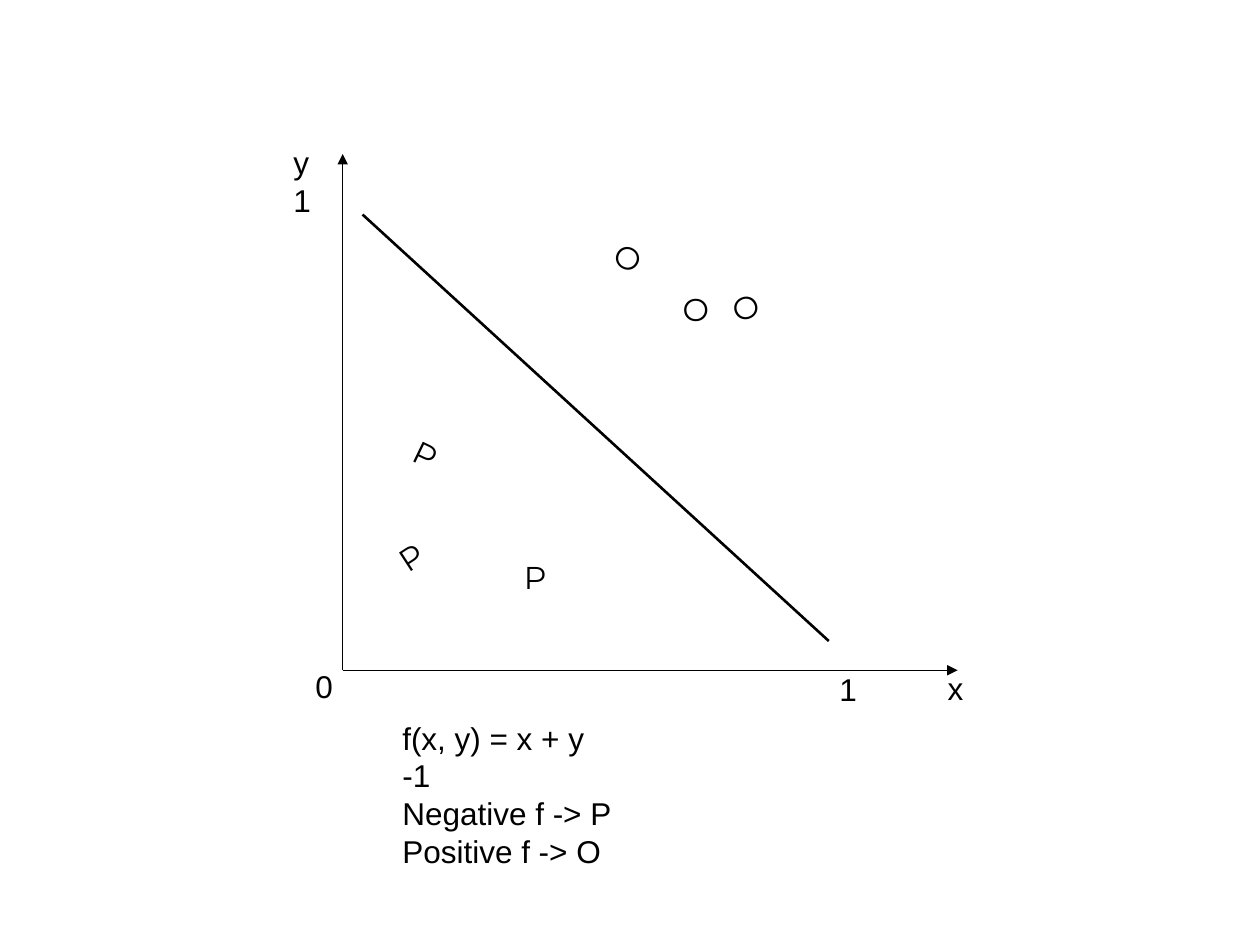
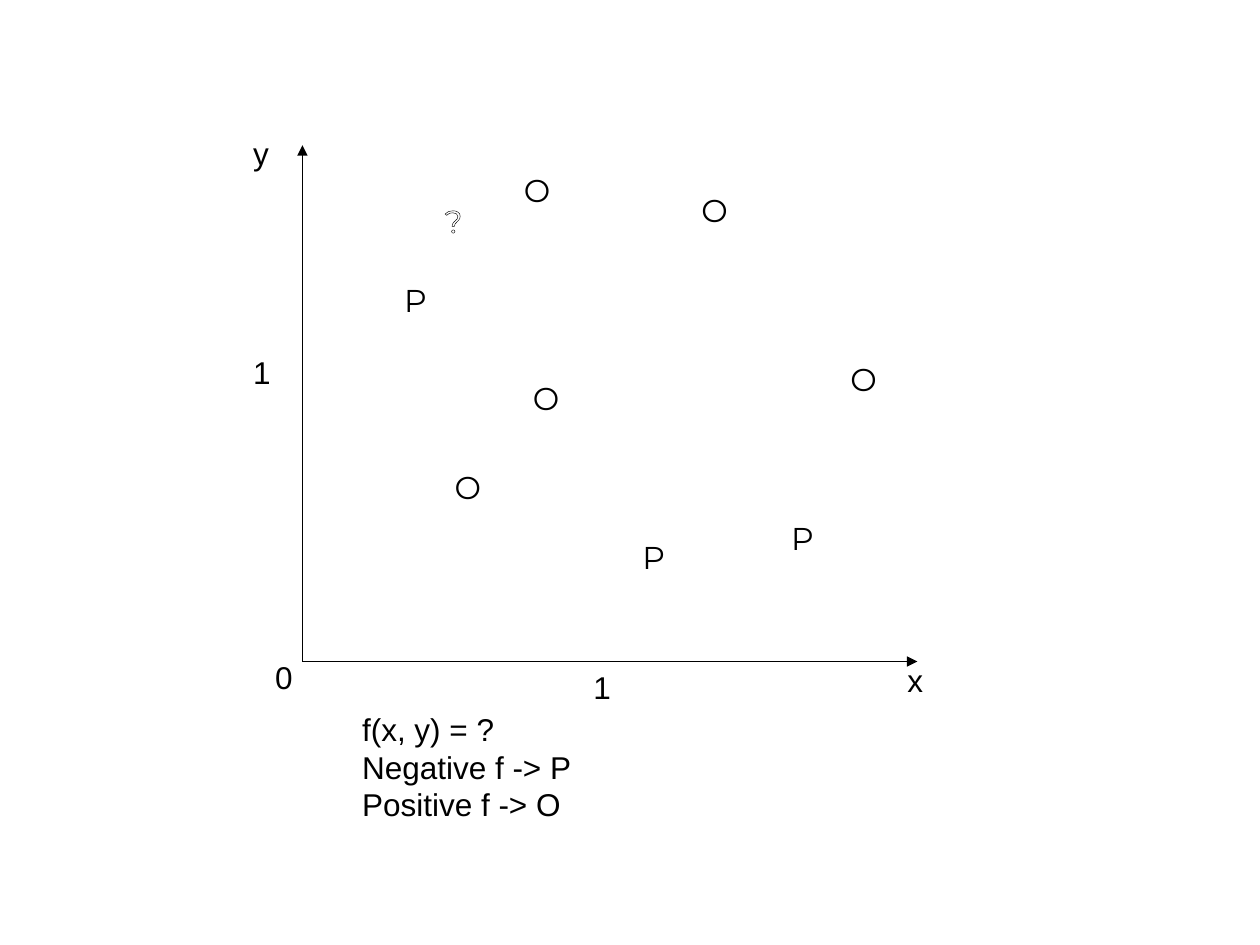
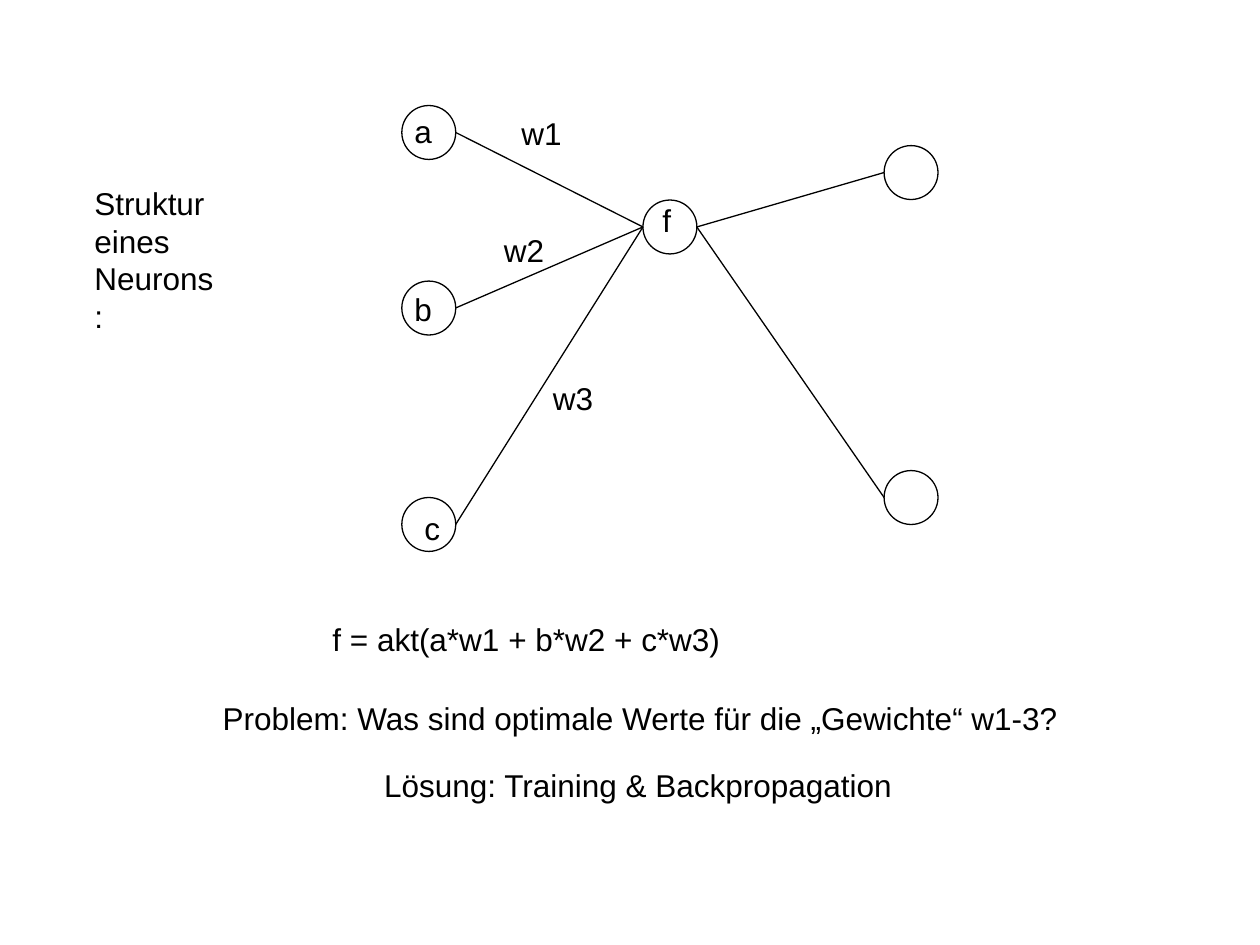
"""Build three slides on separating two classes and on the neuron."""
from lxml import etree
from pptx import Presentation
from pptx.dml.color import RGBColor
from pptx.enum import shapes, text
from pptx.oxml import ns
from pptx.util import Pt

COLOURS = {"ink": "000000", "paper": "FFFFFF"}
HAIRLINE, THICK = 0.74, 1.5
LABEL_FONT = {"name": "Arial", "size": Pt(18)}
MARKER_FONT = {"name": "Montserrat", "size": Pt(18)}
LABEL_FRAME = {"word_wrap": False, "auto_size": text.MSO_AUTO_SIZE.SHAPE_TO_FIT_TEXT}
MARKER_FRAME = {"word_wrap": False, "auto_size": text.MSO_AUTO_SIZE.NONE}
LINE_HEIGHT, INSET = 21.6, 3.6
MARKER_SIZE = (19.44, 57.6)
AXIS_UP, AXIS_RIGHT = 295, 351.4
RADIUS = 15.4
CLASSES = ["Negative f -> P", "Positive f -> O"]


def colour(name):
    """Return the named colour of the palette."""
    return RGBColor.from_string(COLOURS[name])


def apply_format(target, values):
    """Set every attribute of a format dict on the target."""
    for name, value in values.items():
        setattr(target, name, value)


def add_text(page, lines, left, top, size, frame, font, ink="ink"):
    """Add a text box with one paragraph for each line."""
    box = page.shapes.add_textbox(Pt(left), Pt(top), Pt(size[0]), Pt(size[1]))
    apply_format(box.text_frame, frame)
    for index, line in enumerate(lines):
        para = box.text_frame.add_paragraph() if index else box.text_frame.paragraphs[0]
        span = para.add_run()
        span.text = line
        apply_format(span.font, font)
        span.font.color.rgb = colour(ink)
    return box


def add_label(page, lines, left, top, width=24):
    """Add a plain label whose height follows its number of lines."""
    size = (width, LINE_HEIGHT * len(lines) + 2 * INSET)
    return add_text(page, lines, left, top, size, LABEL_FRAME, LABEL_FONT)


def add_marker(page, letter, left, top, angle=0, size=MARKER_SIZE, ink="ink"):
    """Add a letter with outlined glyphs that marks a data point."""
    box = add_text(page, [letter], left, top, size, MARKER_FRAME, MARKER_FONT, ink)
    box.rotation = angle
    outline = etree.Element(ns.qn("a:ln"), w=str(int(Pt(HAIRLINE))))
    fill = etree.SubElement(outline, ns.qn("a:solidFill"))
    etree.SubElement(fill, ns.qn("a:srgbClr"), val=COLOURS["ink"])
    span = box.text_frame.paragraphs[0].runs[0]
    span.font._element.insert(0, outline)


def add_line(page, start, end, width=HAIRLINE, arrow=False):
    """Add a straight line, with an arrowhead at its end if wanted."""
    line = page.shapes.add_connector(
        shapes.MSO_CONNECTOR.STRAIGHT, *(Pt(value) for value in (*start, *end)))
    line.line.color.rgb = colour("ink")
    line.line.width = Pt(width)
    if arrow:
        etree.SubElement(line.line._get_or_add_ln(), ns.qn("a:tailEnd"), type="triangle")
    etree.SubElement(line._element.spPr, ns.qn("a:effectLst"))


def add_node(page, centre):
    """Add an empty circle around its centre."""
    x, y = centre
    node = page.shapes.add_shape(
        shapes.MSO_SHAPE.OVAL, Pt(x - RADIUS), Pt(y - RADIUS), Pt(2 * RADIUS), Pt(2 * RADIUS))
    node.shadow.inherit = False
    node.fill.background()
    node.line.color.rgb = colour("ink")
    node.line.width = Pt(HAIRLINE)


def add_axes(page, origin, y_lines, formula, caption_width):
    """Add both axes with their labels and the caption below them."""
    x, y = origin
    add_line(page, origin, (x, y - AXIS_UP), arrow=True)
    add_line(page, origin, (x + AXIS_RIGHT, y), arrow=True)
    add_label(page, y_lines, x - 35.3, y - AXIS_UP - 9.7)
    add_label(page, ["x"], x + 338.6, y - 4)
    add_label(page, ["0"], x - 22.7, y - 5.4)
    add_label(page, [formula, *CLASSES], x + 27, y + 24.1, caption_width)


def build_linear(page):
    """Draw two classes that a straight line separates."""
    add_axes(page, (195.84, 383), ["y", "1"], "f(x, y) = x + y -1", 139)
    for letter, left, top, angle in (
            ("P", 229.7, 303.8, 327), ("P", 223.9, 241.9, 25.6), ("P", 292.3, 315.4, 0),
            ("O", 337.7, 128.2, 31), ("O", 383, 162, 0), ("O", 416.9, 162, 338.7)):
        add_marker(page, letter, left, top, angle)
    add_line(page, (207.2, 122.6), (473.6, 366.3), THICK)
    add_label(page, ["1"], 472.5, 379.6)


def build_nonlinear(page):
    """Draw two classes that no straight line separates."""
    add_axes(page, (172.8, 378), ["y"], "f(x, y) = ?", 134)
    for letter, left, top in (
            ("P", 360, 303.8), ("P", 223.9, 157), ("P", 445, 293),
            ("O", 292.3, 94.3), ("O", 252.7, 264.2), ("O", 478.8, 202.3),
            ("O", 297.4, 213.1), ("O", 393.8, 105.8)):
        add_marker(page, letter, left, top)
    add_marker(page, "?", 247, 111.6, size=(226, 252.7), ink="paper")
    add_label(page, ["1"], 332, 378)
    add_label(page, ["1"], 137.5, 198)


def build_neuron(page):
    """Draw a neuron with weighted inputs, outputs and its formula."""
    inputs = [(245, y) for y in (75.7, 176, 299.7)]
    neuron = (382.8, 129.7)
    outputs = [(520.6, y) for y in (98.6, 284.3)]
    network = page.shapes.add_group_shape()
    for centre in (*inputs, neuron, *outputs):
        add_node(network, centre)
    links = [(source, neuron) for source in inputs] + [(neuron, goal) for goal in outputs]
    for (x1, y1), (x2, y2) in links:
        add_line(network, (x1 + RADIUS, y1), (x2 - RADIUS, y2))

    for line, left, top, width in (
            ("a", 229.7, 60.5, 24.5), ("b", 229.7, 162, 24.5), ("c", 235.4, 287.3, 23),
            ("w1", 290.9, 61.9, 37.4), ("w2", 280.8, 128.2, 37.4), ("w3", 308.9, 213.1, 37.4),
            ("f", 371.5, 111.6, 19.4),
            ("f = akt(a*w1 + b*w2 + c*w3)", 182.9, 350.6, 236.2),
            ("Problem: Was sind optimale Werte für die „Gewichte“ w1-3?", 120.2, 396, 492.5),
            ("Lösung: Training & Backpropagation", 212.4, 434.2, 305.3)):
        add_label(page, [line], left, top, width)
    add_label(page, ["Struktur", "eines", "Neurons:"], 46.8, 101.5, 87)


def main():
    """Build all slides and save the deck."""
    deck = Presentation()
    deck.slide_width, deck.slide_height = Pt(720), Pt(540)
    blank = deck.slide_layouts[6]
    for build in (build_linear, build_nonlinear, build_neuron):
        build(deck.slides.add_slide(blank))
    deck.save("out.pptx")


main()
